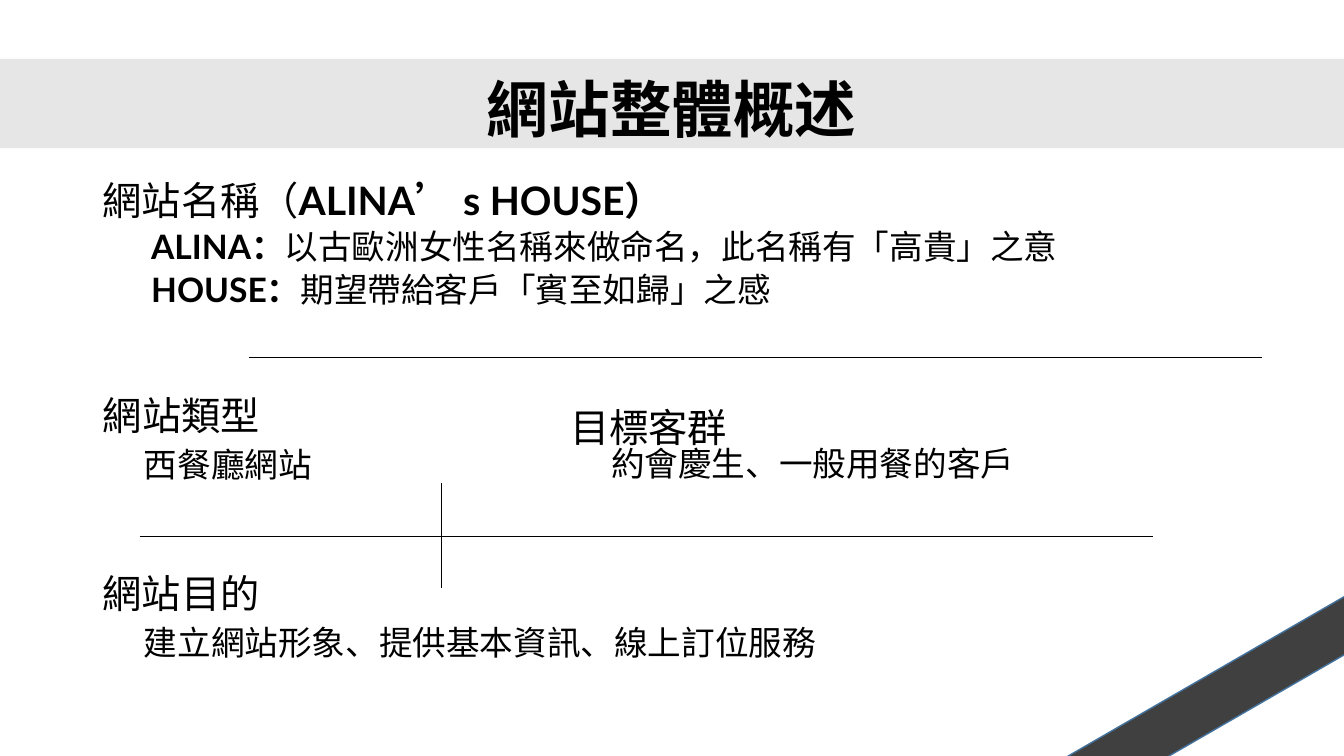
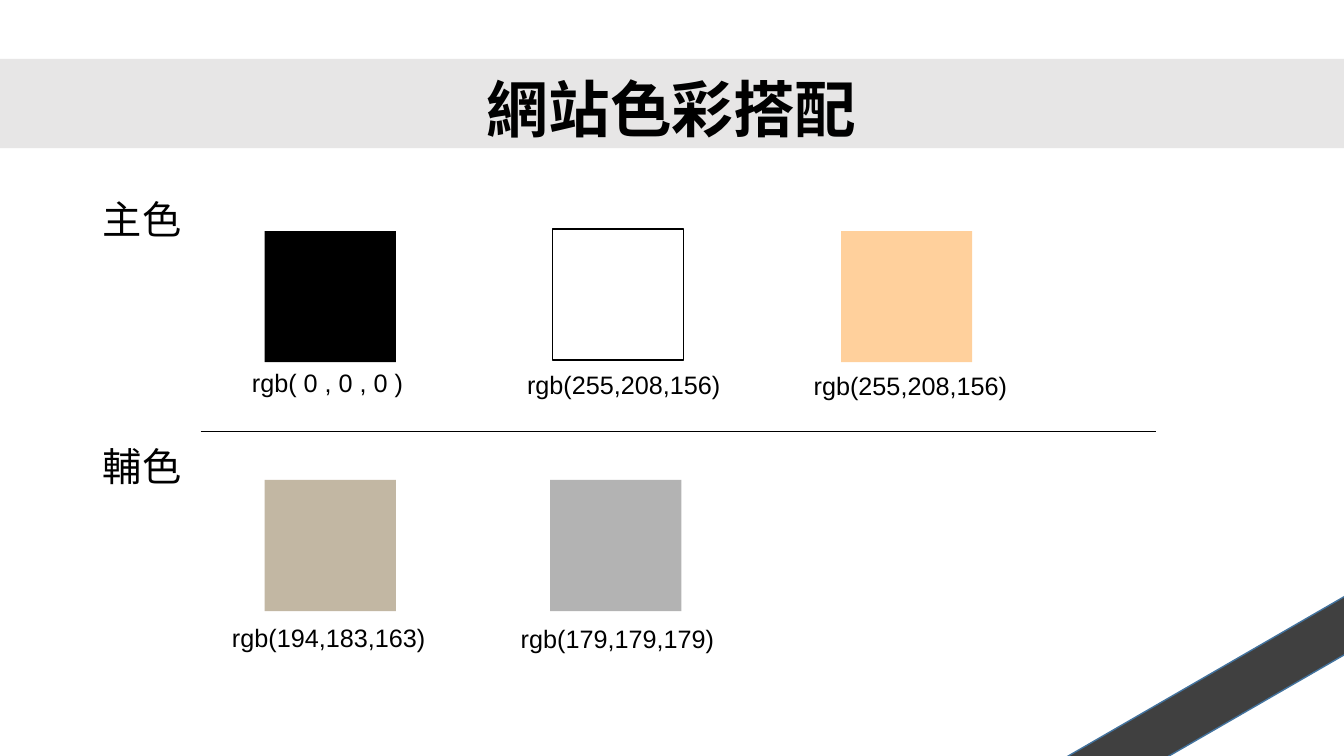
from dataclasses import dataclass
from lxml.etree import SubElement as Sub
from pptx import Presentation as Deck
from pptx.dml.color import RGBColor as Rgb
from pptx.enum.shapes import MSO_CONNECTOR as Link, MSO_SHAPE as Form
from pptx.enum.text import MSO_ANCHOR as Anchor, PP_ALIGN as Align
from pptx.oxml.ns import qn
from pptx.util import Pt

SCALE = 9525
WIDE, HIGH = 1280, 720


@dataclass(frozen=True)
class Theme:
    """Colours, faces and type sizes of the deck."""
    ink: str = "000000"
    paper: str = "FFFFFF"
    band: str = "E7E6E6"
    strip: str = "404040"
    edge: str = "43739E"
    peach: str = "FFD09C"
    sand: str = "C2B7A3"
    grey: str = "B3B3B3"
    latin: str = "Lato"
    asian: str = "Noto Sans CJK SC"
    label: str = "Arial"
    title: int = 44
    head: int = 28
    body: int = 24
    note: int = 18


THEME = Theme()


def px(*nums):
    """Turn pixel lengths into EMU."""
    return [round(num * SCALE) for num in nums]


def write(para, text, size=THEME.body, face=THEME.latin, bold=False,
          align=Align.LEFT, lead=1.0, gap=0, left=0):
    """Fill a paragraph with text, where each asterisk toggles bold."""
    para.alignment, para.line_spacing = align, lead
    para.space_before = Pt(gap)
    para._p.get_or_add_pPr().set("marL", str(left * SCALE))
    for part in text.split("*"):
        if part:
            run = para.add_run()
            run.text = part
            font = run.font
            font.size, font.name, font.bold = Pt(size), face, bold
            font.color.rgb = Rgb.from_string(THEME.ink)
            Sub(run._r.rPr, qn("a:ea"), typeface=THEME.asian)
        bold = not bold


class Pen:
    """Draws styled elements on the current slide."""

    def __init__(self):
        """Start an empty deck."""
        self.deck = Deck()
        self.deck.slide_width, self.deck.slide_height = px(WIDE, HIGH)
        self.slide = None

    def page(self, title):
        """Add a slide with its band, title and corner strip."""
        self.slide = self.deck.slides.add_slide(self.deck.slide_layouts[6])
        self.rect(0, 56, WIDE, 85, THEME.band)
        self.rect(977, 614, 461, 48, THEME.strip, THEME.edge, 330)
        self.text(88, 38, 1104, 139, [
            (title, dict(size=THEME.title, bold=True, align=Align.CENTER,
                         lead=0.9))], Anchor.MIDDLE)

    def rect(self, x, y, w, h, fill, edge=None, turn=0):
        """Add a filled rectangle."""
        shape = self.slide.shapes.add_shape(Form.RECTANGLE, *px(x, y, w, h))
        shape.shadow.inherit = False
        shape.rotation = turn
        shape.fill.solid()
        shape.fill.fore_color.rgb = Rgb.from_string(fill)
        if edge:
            shape.line.color.rgb = Rgb.from_string(edge)
            shape.line.width = Pt(1)
        else:
            shape.line.fill.background()

    def text(self, x, y, w, h, rows, anchor=Anchor.TOP):
        """Add a text box of (text, format) rows."""
        frame = self.slide.shapes.add_textbox(*px(x, y, w, h)).text_frame
        frame.word_wrap, frame.vertical_anchor = True, anchor
        frame.margin_left = frame.margin_right = 0
        frame.margin_top = frame.margin_bottom = 0
        for num, (text, form) in enumerate(rows):
            para = frame.add_paragraph() if num else frame.paragraphs[0]
            write(para, text, **form)

    def topic(self, x, y, w, head, *rows, lead=1.0, gap=4, left=39):
        """Add a heading with indented lines below it."""
        lines = [(head, dict(size=THEME.head, lead=lead))]
        lines += [(row, dict(lead=lead, gap=gap, left=left)) for row in rows]
        self.text(x, y, w, 54 * len(lines), lines)

    def rule(self, x, y, w=0, h=0):
        """Add a thin straight line."""
        line = self.slide.shapes.add_connector(
            Link.STRAIGHT, *px(x, y, x + w, y + h))
        line.line.color.rgb = Rgb.from_string(THEME.ink)
        line.line.width = Pt(0.5)
        Sub(line._element.spPr, qn("a:effectLst"))

    def swatch(self, x, y, fill, name, left, top, edge=None):
        """Add a colour square with its caption."""
        self.rect(x, y, 125, 125, fill, edge)
        self.text(left, top, 200, 28, [
            (name, dict(size=THEME.note, face=THEME.label))])


def about(pen):
    """Draw the overview of the site."""
    pen.page("網站整體概述")
    pen.topic(98, 177, 1100, "網站名稱（*ALINA’ s HOUSE）",
              "*ALINA：*以古歐洲女性名稱來做命名，此名稱有「高貴」之意",
              "*HOUSE：*期望帶給客戶「賓至如歸」之感",
              lead=0.8, gap=7.5, left=46)
    pen.topic(98, 373, 400, "網站類型", "西餐廳網站")
    pen.topic(98, 542, 1000, "網站目的", "建立網站形象、提供基本資訊、線上訂位服務")
    pen.topic(543, 393, 500, "目標客群", "約會慶生、一般用餐的客戶", lead=0.8, gap=0)
    pen.rule(133, 511, w=965)
    pen.rule(237, 340, w=965)
    pen.rule(420, 460, h=100)


def tones(pen):
    """Draw the main and second colours of the site."""
    pen.page("網站色彩搭配")
    pen.topic(98, 186, 120, "主色")
    pen.topic(98, 421, 120, "輔色")
    pen.rule(191, 411, w=910)
    pen.swatch(252, 220, THEME.ink, "rgb( 0 , 0 , 0 )", 240, 350)
    pen.swatch(526, 218, THEME.paper, "rgb(255,208,156)", 502, 352, THEME.ink)
    pen.swatch(801, 220, THEME.peach, "rgb(255,208,156)", 775, 353)
    pen.swatch(252, 457, THEME.sand, "rgb(194,183,163)", 221, 593)
    pen.swatch(524, 457, THEME.grey, "rgb(179,179,179)", 496, 594)


def main():
    """Build and save the deck."""
    pen = Pen()
    about(pen)
    tones(pen)
    pen.deck.save("out.pptx")


if __name__ == "__main__":
    main()
